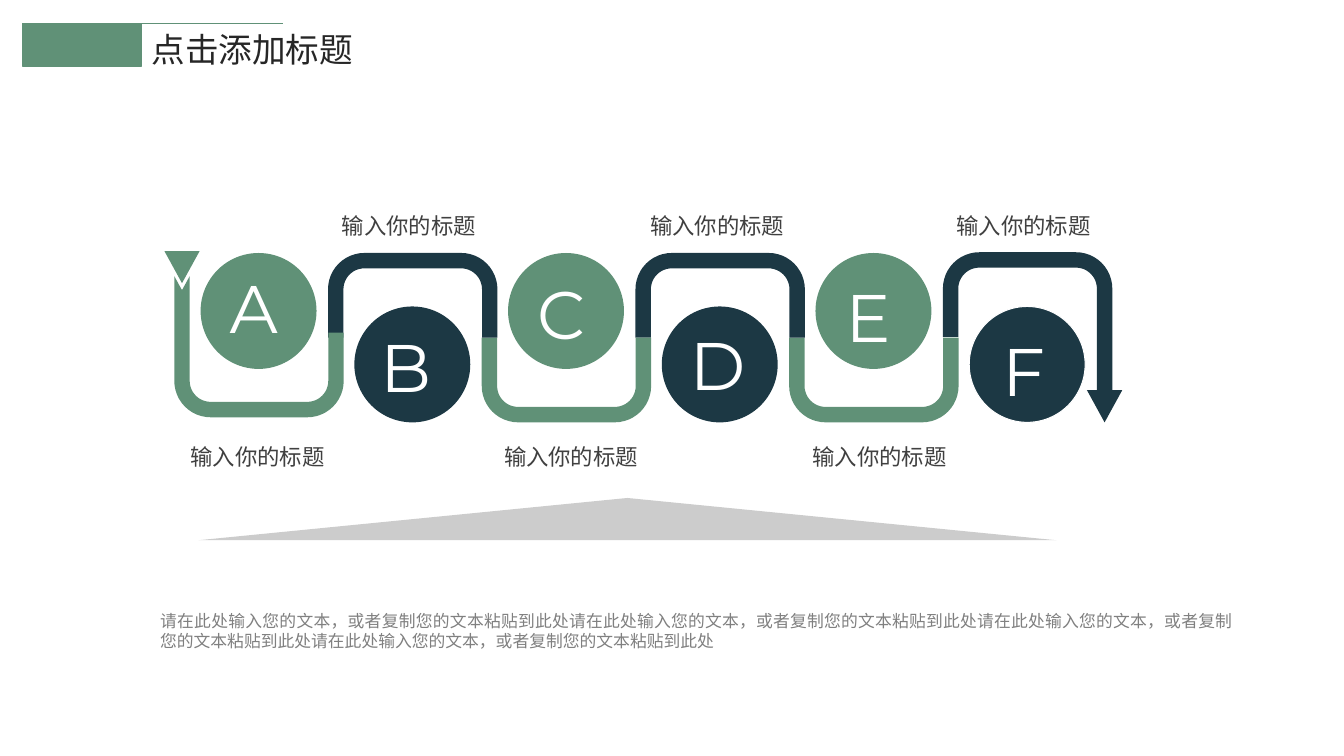
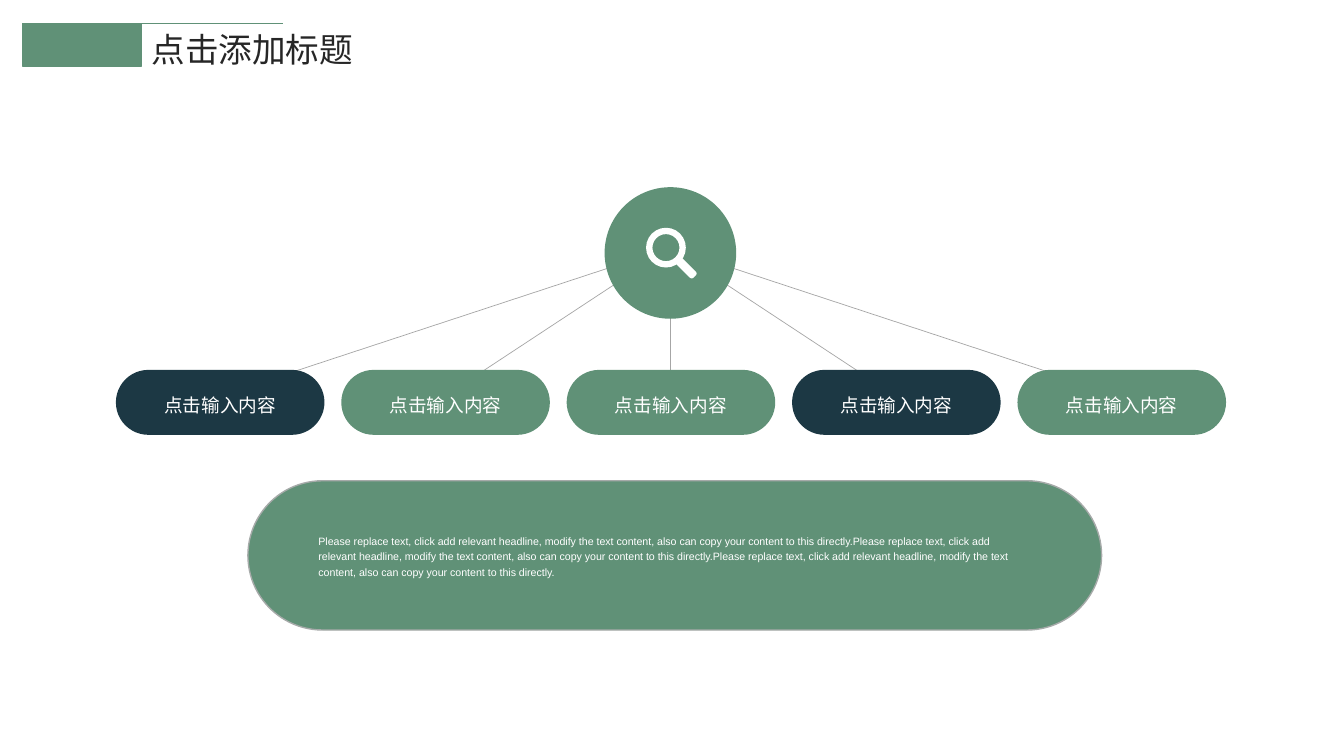
import math
from dataclasses import dataclass

import lxml.etree
import pptx
import pptx.dml.color
import pptx.enum.shapes
import pptx.enum.text
import pptx.oxml.ns
import pptx.util

Pt = pptx.util.Pt
Kind = pptx.enum.shapes.MSO_SHAPE
Align = pptx.enum.text.PP_ALIGN
Anchor = pptx.enum.text.MSO_ANCHOR


@dataclass(frozen=True)
class Theme:
    green: str = "609177"
    navy: str = "1C3844"
    white: str = "FFFFFF"
    ink: str = "262626"
    dark: str = "404040"
    grey: str = "808080"
    wire: str = "A6A6A6"
    rim: str = "A6AAA9"
    shade: str = "CCCCCC"
    han: str = "Noto Sans CJK SC"
    sans: str = "Arial"
    show: str = "Montserrat"
    title: float = 24
    letter: float = 48
    label: float = 16
    body: float = 12
    pill: float = 13.3
    note: float = 7.6


@dataclass(frozen=True)
class Box:
    x: float
    y: float
    w: float
    h: float

    def place(self):
        return Pt(self.x), Pt(self.y), Pt(self.w), Pt(self.h)


T = Theme()
STAGES = [
    ("A", 13.7, 5.8, 3.7),
    ("B", 11.5, 10.1, 1.9),
    ("C", 13.7, 10.1, 8),
    ("D", 13, 8.6, 2.6),
    ("E", 14.4, 12.2, 8.7),
    ("F", 16.6, 13, 1.9),
]
BODY = (
    "请在此处输入您的文本，或者复制您的文本粘贴到此处"
    * 4
)
NOTE = (
    "Please replace text, click add relevant headline, modify the text content, "
    "also can copy your content to this directly."
) * 3


def tint(hue):
    return pptx.dml.color.RGBColor.from_string(hue)


def paint(shape, fill, line=None, width=1):
    shape.shadow.inherit = False
    shape.fill.solid()
    shape.fill.fore_color.rgb = tint(fill)
    if line:
        shape.line.color.rgb = tint(line)
        shape.line.width = Pt(width)
    else:
        shape.line.fill.background()
    return shape


def draw(slide, kind, box, fill, line=None, width=1):
    return paint(slide.shapes.add_shape(kind, *box.place()), fill, line, width)


def wire(slide, start, end, hue):
    line = slide.shapes.add_connector(
        pptx.enum.shapes.MSO_CONNECTOR.STRAIGHT, *map(Pt, start + end))
    line.line.color.rgb = tint(hue)
    line.line.width = Pt(0.5)
    lxml.etree.SubElement(line._element.spPr, pptx.oxml.ns.qn("a:effectLst"))


def write(shape, text, size=T.body, hue=T.ink, font=T.han, align=Align.LEFT,
          anchor=Anchor.TOP, inset=(7.2, 3.6, 7.2, 3.6), lead=None):
    frame = shape.text_frame
    frame.word_wrap = True
    frame.auto_size = pptx.enum.text.MSO_AUTO_SIZE.NONE
    frame.vertical_anchor = anchor
    (frame.margin_left, frame.margin_top,
     frame.margin_right, frame.margin_bottom) = map(Pt, inset)
    para = frame.paragraphs[0]
    para.alignment = align
    if lead:
        para.line_spacing = lead
    run = para.add_run()
    run.text = text
    run.font.size = Pt(size)
    run.font.color.rgb = tint(hue)
    run.font.name = font
    east = lxml.etree.SubElement(run._r.get_or_add_rPr(), pptx.oxml.ns.qn("a:ea"))
    east.set("typeface", font)


def label(slide, box, text, **form):
    write(slide.shapes.add_textbox(*box.place()), text, **form)


def header(slide, box, text):
    wire(slide, (box.x, box.y), (box.x + 186.5, box.y), T.green)
    draw(slide, Kind.RECTANGLE, Box(box.x, box.y, 85, 30.2), T.green, T.green)
    title = slide.shapes.title
    title.left, title.top, title.width, title.height = Box(
        box.x + 85, box.y, box.w - 85, box.h).place()
    write(title, text, size=T.title)


def curve(x, y, rad, first, last):
    angles = [math.radians(first + (last - first) * i / 12) for i in range(13)]
    return [(x + rad * math.cos(a), y + rad * math.sin(a)) for a in angles]


def band(slide, box, side, ends, fill, notch=0):
    thick, rad = 11, 26
    turn = 1 if side < ends[0] else -1
    left, right = box.x, box.x + box.w
    near, far, level = left + rad, right - rad, side + turn * rad
    dots = [(left, ends[0])]
    dots += curve(near, level, rad, 180, 180 + turn * 90)
    dots += curve(far, level, rad, -turn * 90, 0)
    dots += [(right, ends[1]), (right - thick, ends[1])]
    dots += curve(far, level, rad - thick, 0, -turn * 90)
    dots += curve(near, level, rad - thick, 180 + turn * 90, 180)
    dots += [(left + thick, ends[0])]
    if notch:
        dots.append((left + thick / 2, ends[0] + notch))
    dots = [(Pt(x), Pt(y)) for x, y in dots]
    pen = slide.shapes.build_freeform(*dots[0])
    pen.add_line_segments(dots[1:], close=True)
    paint(pen.convert_to_shape(), fill)


def snake(slide, box):
    width, disc = 121, 82.8
    pitch = (box.w - width) / (len(STAGES) - 1)
    base, mid = box.y + box.h, box.y + box.h / 2
    for x, y, hue in ((box.x, box.y - 1.4, T.green),
                      (box.x + box.w - 11, base - 23, T.navy)):
        draw(slide, Kind.FLOWCHART_MERGE, Box(x - 7.1, y, 25.2, 23), hue)
    for i, (letter, dx, dy, shift) in reversed(list(enumerate(STAGES))):
        part = Box(box.x + i * pitch, box.y, width, box.h)
        cup = i % 2 == 0
        hue = T.green if cup else T.navy
        side, ends, notch = base if cup else box.y, (mid, mid), 0
        if i == 0:
            side, ends, notch = base - 3.6, (box.y + 16.6, mid - 3.6), 10
        elif i == len(STAGES) - 1:
            side, ends = box.y - 0.5, (mid - 0.5, base - 17.3)
        band(slide, part, side, ends, hue, notch)
        ring = Box(part.x + 18.8, box.y if cup else base - disc, disc, disc)
        edge = T.white if i == len(STAGES) - 1 else None
        draw(slide, Kind.OVAL, ring, hue, edge, 0.75)
        label(slide, Box(ring.x + dx, ring.y + dy, 52.6, 65.5), letter,
              size=T.letter, hue=T.white, font=T.show)
        top = base + 11.5 if cup else box.y - 32.4
        label(slide, Box(part.x + shift, top, 111.6, 26.6), "输入你的标题",
              size=T.label, hue=T.dark, align=Align.CENTER)


def lens(slide, box):
    draw(slide, Kind.OVAL, box, T.green)
    ring = draw(slide, Kind.DONUT, Box(box.x + 29.6, box.y + 29, 28.4, 28.4), T.white)
    ring.adjustments[0] = 0.16
    grip = draw(slide, Kind.ROUNDED_RECTANGLE,
                Box(box.x + 49.8, box.y + 54.8, 17, 6), T.white)
    grip.adjustments[0] = 0.3
    grip.rotation = 45


def tree(slide, box):
    hub = Box(box.x + box.w / 2 - 47.4, box.y, 94, 94)
    mid = hub.x + hub.w / 2
    hues = [T.navy, T.green, T.green, T.navy, T.green]
    wide, high = 149, 46.4
    pitch = (box.w - wide) / (len(hues) - 1)
    top = box.y + box.h - high
    for i in range(len(hues)):
        wire(slide, (mid, hub.y + 43.2), (mid + (i - 2) * 163, top + 20), T.wire)
    for i, hue in enumerate(hues):
        pill = draw(slide, Kind.ROUNDED_RECTANGLE,
                    Box(box.x + i * pitch, top, wide, high), hue)
        pill.adjustments[0] = 0.5
        write(pill, "点击输入内容", size=T.pill, hue=T.white, font=T.sans,
              align=Align.CENTER, anchor=Anchor.MIDDLE, inset=(0, 0, 0, 0), lead=1.2)
    lens(slide, hub)


def panel(slide, box):
    card = draw(slide, Kind.ROUNDED_RECTANGLE, box, T.green, T.rim)
    card.adjustments[0] = 0.5
    write(card, NOTE, size=T.note, hue=T.white, font=T.sans,
          anchor=Anchor.MIDDLE, inset=(34.8, 0, 40.6, 0), lead=1.2)


def steps(slide):
    draw(slide, Kind.ISOSCELES_TRIANGLE, Box(141.8, 355.7, 612.7, 30.2), T.shade)
    snake(slide, Box(124.5, 180.7, 670, 121))
    label(slide, Box(107.3, 432.7, 781.2, 36), BODY,
          hue=T.grey, align=Align.JUSTIFY)


def search(slide):
    tree(slide, Box(82.8, 133.7, 793, 176.9))
    panel(slide, Box(177.1, 343.4, 609.8, 106.6))


def main():
    deck = pptx.Presentation()
    deck.slide_width, deck.slide_height = Pt(960), Pt(540)
    for fill in (steps, search):
        slide = deck.slides.add_slide(deck.slide_layouts[5])
        fill(slide)
        header(slide, Box(16, 17, 256, 36), "点击添加标题")
    deck.save("out.pptx")


if __name__ == "__main__":
    main()
